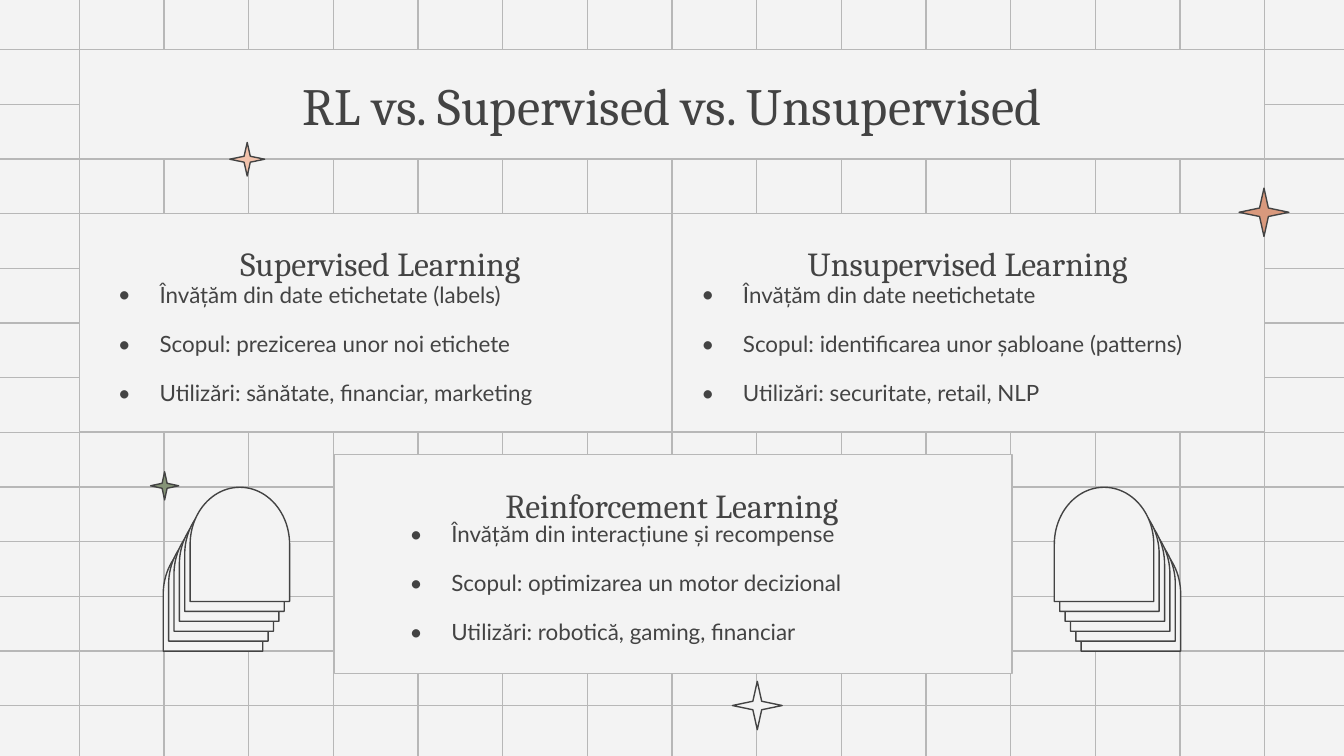
from lxml import etree
from pptx import Presentation
from pptx.dml.color import RGBColor
from pptx.enum import shapes, text
from pptx.oxml import ns
from pptx.util import Inches, Pt

COLORS = {
    "paper": "F3F3F3", "grid": "B7B7B7", "ink": "434343",
    "peach": "F2C2AB", "clay": "D9997D", "sage": "859477",
}
TITLE = "RL vs. Supervised vs. Unsupervised"
CARDS = [
    {
        "frame": (5, 1.59, 4.41, 1.62),
        "heading": ("Unsupervised Learning", 5.15, 1.74),
        "list": (5.12, 1.99, 4.1, 1.09),
        "points": ["Învățăm din date neetichetate",
                   "Scopul: identificarea unor șabloane (patterns)",
                   "Utilizări: securitate, retail, NLP"],
    },
    {
        "frame": (0.59, 1.59, 4.41, 1.62),
        "heading": ("Supervised Learning", 0.78, 1.74),
        "list": (0.78, 1.99, 4.1, 1.09),
        "points": ["Învățăm din date etichetate (labels)",
                   "Scopul: prezicerea unor noi etichete",
                   "Utilizări: sănătate, financiar, marketing"],
    },
    {
        "frame": (2.49, 3.38, 5.04, 1.63),
        "heading": ("Reinforcement Learning", 2.95, 3.54),
        "list": (2.95, 3.77, 4.1, 1.24),
        "points": ["Învățăm din interacțiune și recompense",
                   "Scopul: optimizarea un motor decizional",
                   "Utilizări: robotică, gaming, financiar"],
    },
]
STARS = [
    (5.45, 5.07, 0.37, 0.36, "paper"),
    (1.71, 1.06, 0.26, 0.25, "peach"),
    (9.22, 1.4, 0.37, 0.36, "clay"),
    (1.12, 3.51, 0.21, 0.21, "sage"),
]
ARCH_STACKS = [(7.99, -0.04), (1.16, 0.04)]
ARCH_TOP, ARCH_FRONT, ARCH_COUNT = 4.05, 3.68, 6
COLUMNS = [0.59 + 0.63 * i for i in range(15)]
ROWS = [0.37 + 4.88 / 12 * i for i in range(13)]
X_HALVES = [(-0.04, 5), (5, 10.04)]
Y_HALVES = [(-0.03, 2.81), (2.81, 5.66)]


def color(name):
    return RGBColor.from_string(COLORS[name])


def add_line(page, x1, y1, x2, y2):
    line = page.shapes.add_connector(
        shapes.MSO_CONNECTOR.STRAIGHT, *map(Inches, (x1, y1, x2, y2)))
    line.line.color.rgb = color("grid")
    line.line.width = Pt(0.75)
    etree.SubElement(line._element.spPr, ns.qn("a:effectLst"))


def add_shape(page, kind, frame, fill="paper", outline="ink"):
    shape = page.shapes.add_shape(kind, *map(Inches, frame))
    shape.shadow.inherit = False
    shape.fill.solid()
    shape.fill.fore_color.rgb = color(fill)
    shape.line.color.rgb = color(outline)
    shape.line.width = Pt(0.75)
    return shape


def write(box, lines, font, size, anchor, align, after=0, bullets=False):
    frame = box.text_frame
    frame.word_wrap = True
    frame.vertical_anchor = anchor
    frame.margin_left = frame.margin_right = Inches(0.1)
    frame.margin_top = frame.margin_bottom = Inches(0.1)
    frame.text = "\n".join(lines)
    for paragraph in frame.paragraphs:
        paragraph.alignment = align
        paragraph.space_after = Pt(after)
        paragraph.font.name = font
        paragraph.font.size = Pt(size)
        paragraph.font.color.rgb = color("ink")
        if bullets:
            add_bullet(paragraph, font, size)


def add_bullet(paragraph, font, size):
    properties = paragraph._p.get_or_add_pPr()
    properties.set("marL", str(Inches(0.31)))
    properties.set("indent", str(-Inches(0.31)))
    tint = etree.Element(ns.qn("a:buClr"))
    etree.SubElement(tint, ns.qn("a:srgbClr"), val=COLORS["ink"])
    parts = [
        tint,
        etree.Element(ns.qn("a:buSzPts"), val=str(size * 100)),
        etree.Element(ns.qn("a:buFont"), typeface=font),
        etree.Element(ns.qn("a:buChar"), char="•"),
    ]
    defaults = properties.find(ns.qn("a:defRPr"))
    for part in parts:
        defaults.addprevious(part)


def add_card(page, card):
    add_shape(page, shapes.MSO_SHAPE.RECTANGLE, card["frame"], outline="grid")
    label, left, top = card["heading"]
    heading = page.shapes.add_textbox(*map(Inches, (left, top, 4.1, 0.47)))
    write(heading, [label], "Cambria", 18, text.MSO_ANCHOR.BOTTOM,
          text.PP_ALIGN.CENTER, after=12)
    body = page.shapes.add_textbox(*map(Inches, card["list"]))
    write(body, card["points"], "Lato", 12, text.MSO_ANCHOR.TOP,
          text.PP_ALIGN.LEFT, after=12, bullets=True)


def main():
    deck = Presentation()
    deck.slide_width = Inches(10)
    deck.slide_height = Inches(10 * 9 / 16)
    page = deck.slides.add_slide(deck.slide_layouts[6])
    page.background.fill.solid()
    page.background.fill.fore_color.rgb = color("paper")

    for x in COLUMNS:
        for top, bottom in Y_HALVES:
            add_line(page, x, top, x, bottom)
    for y in ROWS:
        for left, right in X_HALVES:
            add_line(page, left, y, right, y)

    title = add_shape(page, shapes.MSO_SHAPE.RECTANGLE,
                      (0.59, 0.37, 8.82, 0.81), outline="grid")
    write(title, [TITLE], "Cambria", 28, text.MSO_ANCHOR.MIDDLE,
          text.PP_ALIGN.CENTER)

    for card in CARDS:
        add_card(page, card)

    rise = (ARCH_TOP - ARCH_FRONT) / (ARCH_COUNT - 1)
    for left, step in ARCH_STACKS:
        for i in range(ARCH_COUNT):
            frame = (left + step * i, ARCH_TOP - rise * i, 0.85, 0.74)
            arch = add_shape(page, shapes.MSO_SHAPE.FLOWCHART_DELAY, frame)
            arch.rotation = 270

    for *frame, fill in STARS:
        star = add_shape(page, shapes.MSO_SHAPE.STAR_4_POINT, frame, fill)
        star.adjustments[0] = 0.125

    deck.save("out.pptx")


if __name__ == "__main__":
    main()
